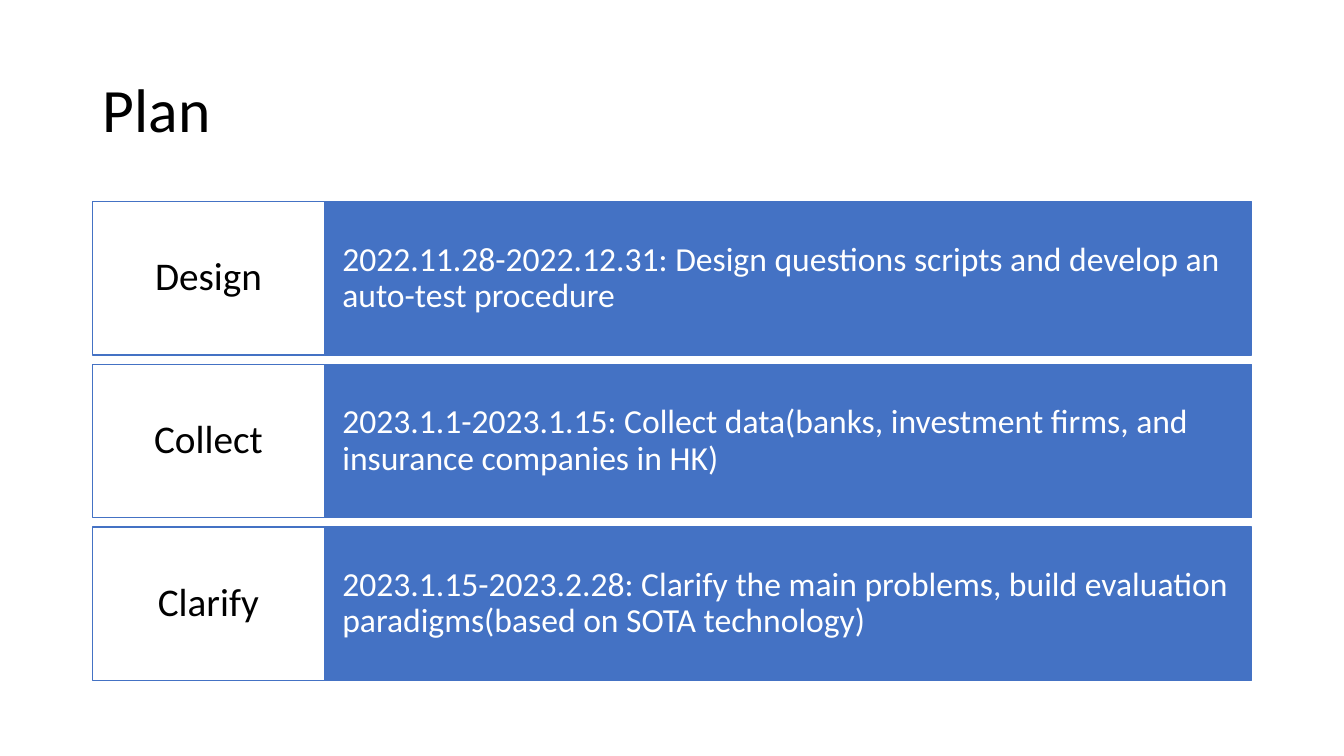
from pptx import Presentation
from pptx import util as u
from pptx.dml.color import RGBColor
from pptx.enum import shapes, text

BLACK = RGBColor(0x00, 0x00, 0x00)
WHITE = RGBColor(0xFF, 0xFF, 0xFF)
BLUE = RGBColor(0x44, 0x72, 0xC4)

PX = 9525
LEFT, TOP = 88, 192
STEP_WIDTH, DETAIL_WIDTH = 221, 883
ROW_HEIGHT, ROW_PITCH = 146, 155

PLAN = [
    ("Design", "2022.11.28-2022.12.31: Design questions scripts and develop an auto-test procedure"),
    ("Collect", "2023.1.1-2023.1.15: Collect data(banks, investment firms, and insurance companies in HK)"),
    ("Clarify", "2023.1.15-2023.2.28: Clarify the main problems, build evaluation paradigms(based on SOTA technology)"),
]


def write(frame, wording, size, color, align=text.PP_ALIGN.LEFT, inset=(10, 5)):
    frame.word_wrap = True
    frame.auto_size = text.MSO_AUTO_SIZE.NONE
    frame.vertical_anchor = text.MSO_ANCHOR.MIDDLE
    frame.margin_left = frame.margin_right = inset[0] * PX
    frame.margin_top = frame.margin_bottom = inset[1] * PX
    paragraph = frame.paragraphs[0]
    paragraph.alignment = align
    paragraph.line_spacing = 0.9
    paragraph.space_before = u.Pt(0)
    run = paragraph.add_run()
    run.text = wording
    run.font.name = "Calibri"
    run.font.size = u.Pt(size)
    run.font.color.rgb = color


class PlanSlide:
    """Holds the style and the current slide, and adds each kind of element."""

    def __init__(self, deck):
        self.slide = deck.slides.add_slide(deck.slide_layouts[5])
        self.outline = BLUE

    def title(self, wording, x, y, width, height):
        heading = self.slide.shapes.title
        heading.left, heading.top = x * PX, y * PX
        heading.width, heading.height = width * PX, height * PX
        write(heading.text_frame, wording, size=44, color=BLACK)

    def block(self, wording, x, y, width, fill, **style):
        block = self.slide.shapes.add_shape(
            shapes.MSO_SHAPE.RECTANGLE, x * PX, y * PX, width * PX, ROW_HEIGHT * PX)
        block.shadow.inherit = False
        block.fill.solid()
        block.fill.fore_color.rgb = fill
        block.line.color.rgb = self.outline
        block.line.width = u.Pt(1)
        write(block.text_frame, wording, **style)


def main():
    deck = Presentation()
    deck.slide_width, deck.slide_height = 1280 * PX, 720 * PX
    plan = PlanSlide(deck)
    plan.title("Plan", LEFT, 38, STEP_WIDTH + DETAIL_WIDTH, 139)
    for row, (step, detail) in enumerate(PLAN):
        y = TOP + row * ROW_PITCH
        plan.block(detail, LEFT + STEP_WIDTH, y, DETAIL_WIDTH, BLUE,
                   size=24, color=WHITE, inset=(17, 37))
        plan.block(step, LEFT, y, STEP_WIDTH, WHITE,
                   size=28, color=BLACK, align=text.PP_ALIGN.CENTER, inset=(12, 14))
    deck.save("out.pptx")


if __name__ == "__main__":
    main()
